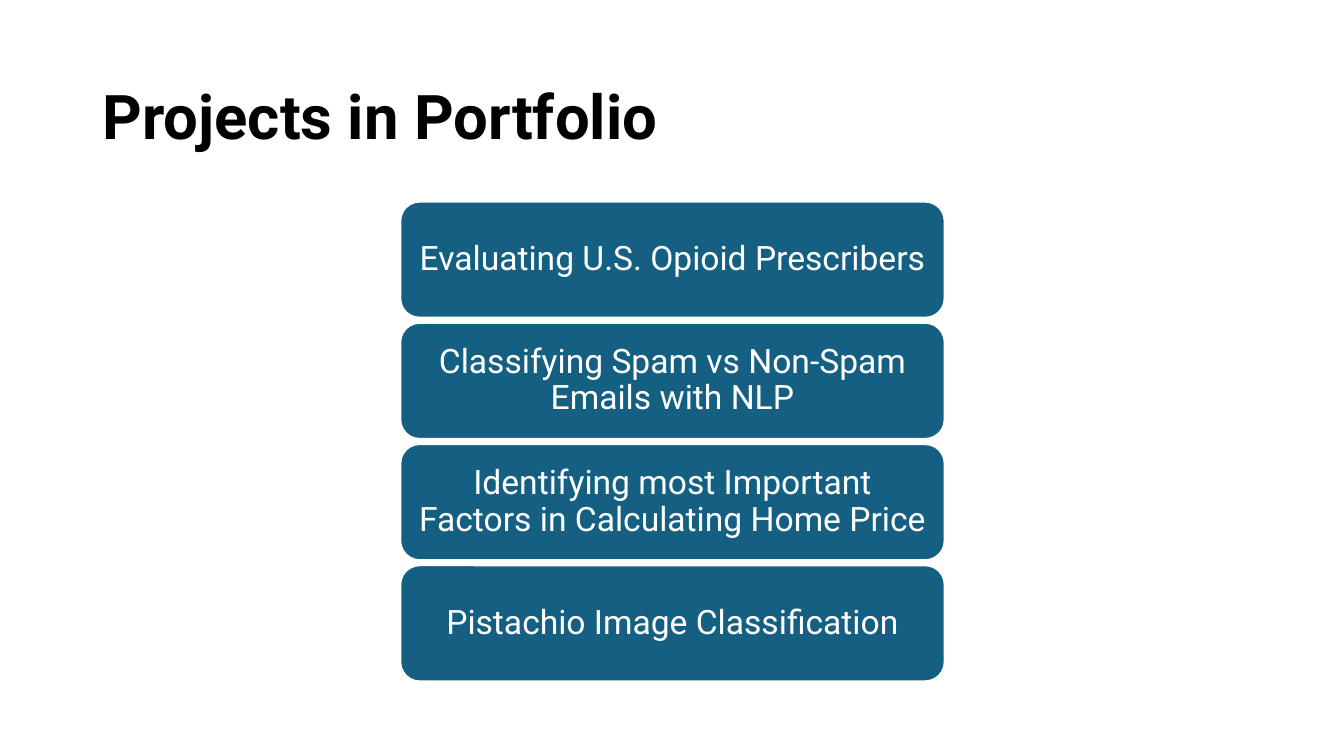
from pptx import Presentation
from pptx.dml.color import RGBColor
from pptx.enum.shapes import MSO_SHAPE as Preset
from pptx.enum.text import MSO_ANCHOR as Anchor, PP_ALIGN as Align
from pptx.util import Inches, Pt

COLORS = {"title": "000000", "card": "156082", "card_text": "FFFFFF", "outline": "FFFFFF"}
FONT = "Roboto"
PROJECTS = [
    "Evaluating U.S. Opioid Prescribers",
    "Classifying Spam vs Non-Spam Emails with NLP",
    "Identifying most Important Factors in Calculating Home Price",
    "Pistachio Image Classification",
]


def color(name):
    return RGBColor.from_string(COLORS[name])


def write_text(shape, text, size, color_name, align, space_after, bold=False):
    frame = shape.text_frame
    frame.word_wrap = True
    frame.vertical_anchor = Anchor.MIDDLE
    paragraph = frame.paragraphs[0]
    paragraph.alignment = align
    paragraph.line_spacing = 0.9
    paragraph.space_after = Pt(space_after)
    run = paragraph.add_run()
    run.text = text
    run.font.name = FONT
    run.font.size = Pt(size)
    run.font.bold = bold
    run.font.color.rgb = color(color_name)


def add_title(slide, text, left, top, width, height):
    box = slide.shapes.add_textbox(*map(Inches, (left, top, width, height)))
    write_text(box, text, 44, "title", Align.LEFT, 6, bold=True)


def add_project_stack(slide, projects, left, top, width, height, gap=0.05):
    """Fill the given box with equal cards, one above another."""
    card_height = (height - gap * (len(projects) - 1)) / len(projects)
    for row, project in enumerate(projects):
        card_top = top + row * (card_height + gap)
        card = slide.shapes.add_shape(
            Preset.ROUNDED_RECTANGLE, *map(Inches, (left, card_top, width, card_height)))
        card.shadow.inherit = False
        card.fill.solid()
        card.fill.fore_color.rgb = color("card")
        card.line.color.rgb = color("outline")
        card.line.width = Pt(1.5)
        frame = card.text_frame
        frame.margin_left = frame.margin_right = Inches(0.1)
        write_text(card, project, 24, "card_text", Align.CENTER, 8.4)


def main():
    presentation = Presentation()
    presentation.slide_width = Inches(13.33)
    presentation.slide_height = Inches(7.5)
    slide = presentation.slides.add_slide(presentation.slide_layouts[6])
    add_title(slide, "Projects in Portfolio", 0.92, 0.57, 11.5, 1.24)
    add_project_stack(slide, PROJECTS, 3.97, 2, 5.4, 4.76)
    presentation.save("out.pptx")


if __name__ == "__main__":
    main()
